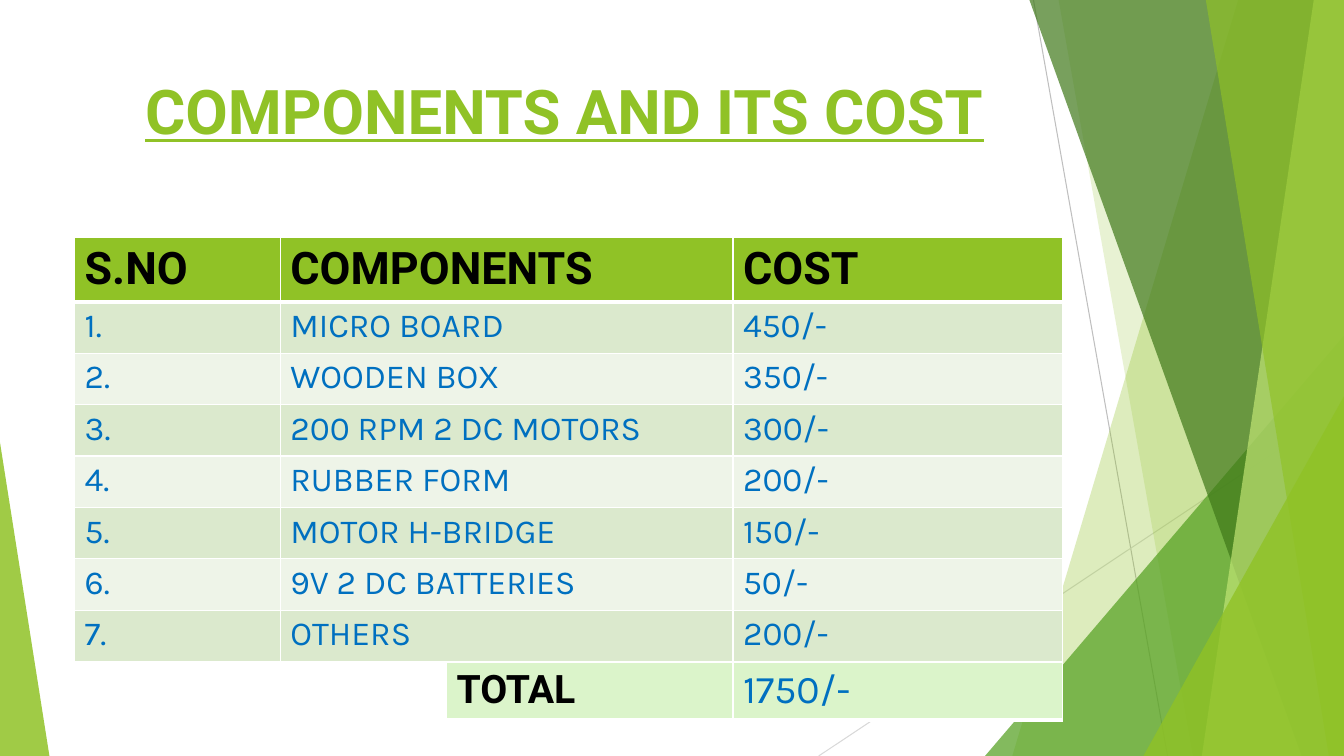
import pptx
import pptx.util
import pptx.dml.color
import pptx.enum.shapes
import pptx.enum.text
import pptx.oxml
import pptx.oxml.ns
from pptx.util import Inches

COLORS = {
    "white": "FFFFFF", "black": "000000", "blue": "0070C0", "lime": "90C226",
    "green": "54A021", "forest": "3F7819", "pale": "C0E474",
    "gray": "BFBFBF", "silver": "D9D9D9",
    "band": "DBE9CD", "light": "EEF4E8", "total": "DBF4CA",
}
HEAD = {"name": "Roboto", "size": pptx.util.Pt(32), "bold": True, "color": "black"}
BODY = {"name": "Karla", "size": pptx.util.Pt(24), "bold": False, "color": "blue"}
TITLE = {"name": "Roboto", "size": pptx.util.Pt(44), "bold": True,
         "underline": True, "color": "lime"}
TOTAL_SIZE = {"size": pptx.util.Pt(28)}
RIGHT, BOTTOM = 13.33, 7.5

COMPONENTS = [
    ("MICRO BOARD", "450/-"),
    ("WOODEN BOX", "350/-"),
    ("200 RPM 2 DC MOTORS", "300/-"),
    ("RUBBER FORM", "200/-"),
    ("MOTOR H-BRIDGE", "150/-"),
    ("9V 2 DC BATTERIES", "50/-"),
    ("OTHERS", "200/-"),
]


def rgb(name):
    return pptx.dml.color.RGBColor.from_string(COLORS[name])


def write(tf, text, formats):
    r = tf.paragraphs[0].add_run()
    r.text = text
    for key, value in formats.items():
        if key == "color":
            r.font.color.rgb = rgb(value)
        else:
            setattr(r.font, key, value)


def paint(sp, color, opacity):
    sp.shadow.inherit = False
    sp.line.fill.background()
    sp.fill.solid()
    sp.fill.fore_color.rgb = rgb(color)
    clr = sp.fill._xPr.find(".//" + pptx.oxml.ns.qn("a:srgbClr"))
    alpha = pptx.oxml.parse_xml(
        f'<a:alpha {pptx.oxml.ns.nsdecls("a")} val="{opacity * 1000}"/>')
    clr.append(alpha)


def add_line(s, start, end, color):
    cx = s.shapes.add_connector(pptx.enum.shapes.MSO_CONNECTOR.STRAIGHT,
                                *map(Inches, start + end))
    cx.line.color.rgb = rgb(color)
    cx.line.width = pptx.util.Pt(0.75)
    cx._element.spPr.append(
        pptx.oxml.parse_xml(f'<a:effectLst {pptx.oxml.ns.nsdecls("a")}/>'))


def add_shard(s, top_x, bottom_x, color, opacity):
    fb = s.shapes.build_freeform(Inches(top_x), 0)
    corners = [(RIGHT, 0), (RIGHT, BOTTOM), (bottom_x, BOTTOM)]
    fb.add_line_segments([(Inches(x), Inches(y)) for x, y in corners], close=True)
    paint(fb.convert_to_shape(), color, opacity)


def add_triangle(s, left, top, width, apex, color, opacity):
    sp = s.shapes.add_shape(pptx.enum.shapes.MSO_SHAPE.ISOSCELES_TRIANGLE,
                            Inches(left), Inches(top),
                            Inches(width), Inches(BOTTOM - top))
    sp.adjustments[0] = apex
    paint(sp, color, opacity)


def add_title(s, text):
    sp = s.shapes.add_textbox(Inches(0.74), Inches(0.67), Inches(9.4), Inches(1.44))
    tf = sp.text_frame
    tf.word_wrap = True
    tf.vertical_anchor = pptx.enum.text.MSO_ANCHOR.TOP
    tf.margin_left = Inches(0.7)
    write(tf, text, TITLE)


def set_borders(cell, bottom):
    tcPr = cell._tc.get_or_add_tcPr()
    for i, (side, width) in enumerate(zip("LRTB", (1, 1, 1, bottom))):
        tcPr.insert(i, pptx.oxml.parse_xml(
            f'<a:ln{side} {pptx.oxml.ns.nsdecls("a")} w="{width * 12700}">'
            f'<a:solidFill><a:srgbClr val="{COLORS["white"]}"/></a:solidFill>'
            f'</a:ln{side}>'))


def fill_cell(cell, text, formats, color, bottom):
    write(cell.text_frame, text, formats)
    cell.fill.solid()
    cell.fill.fore_color.rgb = rgb(color)
    set_borders(cell, bottom)


def add_grid(s, left, top, widths, heights):
    table = s.shapes.add_table(len(heights), len(widths), Inches(left), Inches(top),
                               Inches(sum(widths)), Inches(sum(heights))).table
    for column, width in zip(table.columns, widths):
        column.width = Inches(width)
    for row, height in zip(table.rows, heights):
        row.height = Inches(height)
    return table


def add_cost_table(s):
    rows = [("S.NO", "COMPONENTS", "COST")]
    rows += [(f"{n}.", *item) for n, item in enumerate(COMPONENTS, 1)]
    table = add_grid(s, 0.74, 2.36, [2.04, 4.49, 3.27],
                     [0.62] + [0.51] * len(COMPONENTS))
    for i, values in enumerate(rows):
        if i == 0:
            style = (HEAD, "lime", 3)
        else:
            style = (BODY, "band" if i % 2 else "light", 1)
        for j, text in enumerate(values):
            fill_cell(table.cell(i, j), text, *style)


def add_total_table(s):
    table = add_grid(s, 4.43, 6.57, [2.84, 3.27], [0.57])
    fill_cell(table.cell(0, 0), "TOTAL", HEAD | TOTAL_SIZE, "total", 3)
    fill_cell(table.cell(0, 1), "1750/-", BODY | TOTAL_SIZE, "total", 3)


def add_decoration(s):
    add_line(s, (10.25, 0), (11.58, BOTTOM), "gray")
    add_line(s, (RIGHT, 4.03), (8.12, BOTTOM), "silver")
    add_shard(s, 12.28, 10.04, "lime", 30)
    add_shard(s, 10.5, 11.83, "lime", 20)
    add_triangle(s, 9.77, 3.33, 3.56, 1, "green", 72)
    add_shard(s, 10.21, 12.91, "forest", 70)
    add_shard(s, 13.03, 11.92, "pale", 70)
    add_shard(s, 11.96, 13.18, "lime", 65)
    add_triangle(s, 11.34, 3.93, 1.99, 1, "lime", 80)
    add_triangle(s, 0, 4.39, 0.49, 0, "lime", 85)


def main():
    prs = pptx.Presentation()
    prs.slide_width, prs.slide_height = Inches(RIGHT), Inches(BOTTOM)
    s = prs.slides.add_slide(prs.slide_layouts[6])
    add_decoration(s)
    add_title(s, "COMPONENTS AND ITS COST")
    add_cost_table(s)
    add_total_table(s)
    prs.save("out.pptx")


if __name__ == "__main__":
    main()
